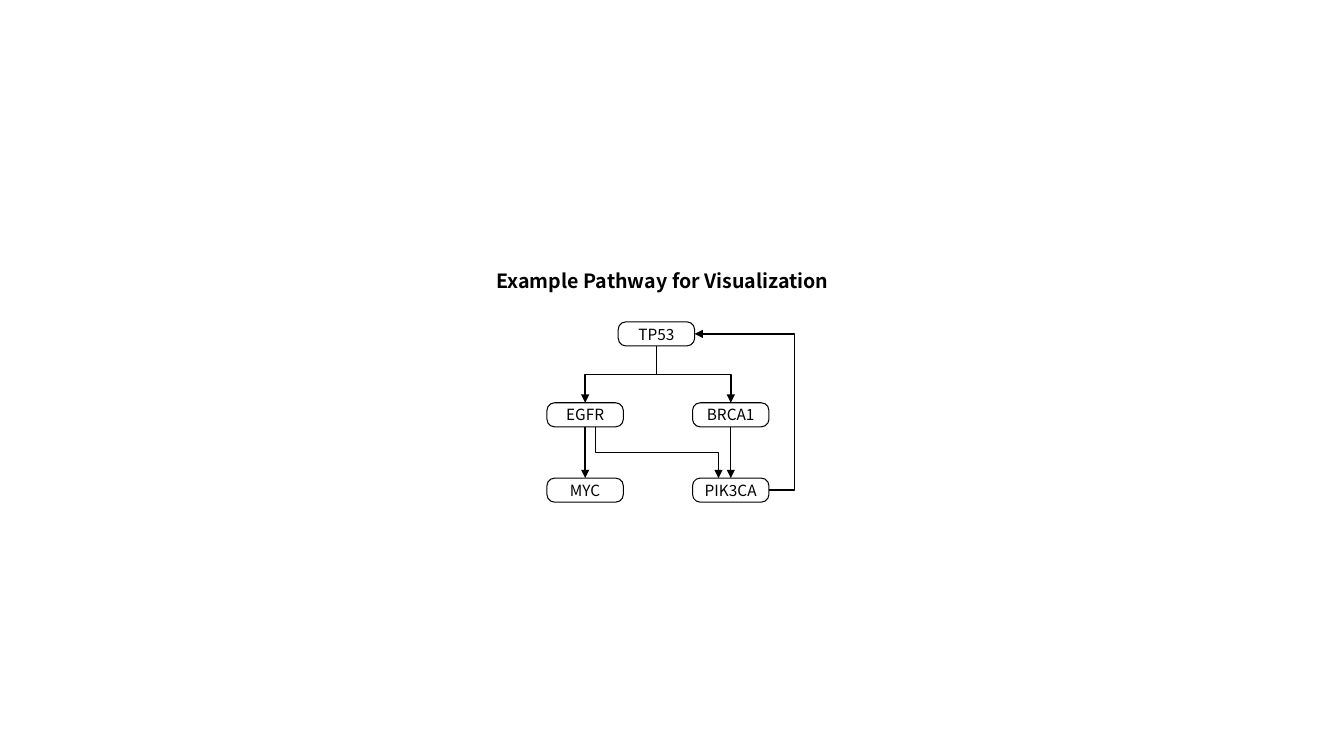
from lxml.etree import SubElement
from pptx import Presentation
from pptx.dml.color import RGBColor
from pptx.enum.shapes import MSO_CONNECTOR as Connector, MSO_SHAPE as Shape
from pptx.enum.text import MSO_ANCHOR as Anchor, PP_ALIGN as Align
from pptx.oxml.ns import qn
from pptx.util import Pt

COLORS = {"ink": "000000"}
FONT = "Noto Sans CJK JP"
NODE_WIDTH, NODE_HEIGHT = 54.6, 17.2
# Gene: (centre, top) within the pathway
GENES = {
    "TP53": (78, 0),
    "EGFR": (27.1, 57.8),
    "BRCA1": (131.1, 57.8),
    "MYC": (27.1, 111.6),
    "PIK3CA": (131.1, 111.6),
}
# Source, target, and sideways shifts of the two ends
DOWNWARD_LINKS = [
    ("EGFR", "MYC", 0, 0),
    ("BRCA1", "PIK3CA", 0, 0),
    ("TP53", "EGFR", 0, 0),
    ("TP53", "BRCA1", 0, 0),
    ("EGFR", "PIK3CA", 7.3, -8.8),
]
FEEDBACK_REACH = 18.1


def ink():
    return RGBColor.from_string(COLORS["ink"])


def add_text(frame, text, size, bold, margins):
    frame.margin_left = frame.margin_right = Pt(margins[0])
    frame.margin_top = frame.margin_bottom = Pt(margins[1])
    paragraph = frame.paragraphs[0]
    paragraph.alignment = Align.CENTER
    run = paragraph.add_run()
    run.text = text
    run.font.name, run.font.size, run.font.bold = FONT, Pt(size), bold
    run.font.color.rgb = ink()


def add_title(slide, left, top, width, height):
    frame = slide.shapes.add_textbox(Pt(left), Pt(top), Pt(width), Pt(height)).text_frame
    frame.word_wrap = False
    add_text(frame, "Example Pathway for Visualization", 14, True, (2, 3))


def add_gene(slide, name, left, top):
    shape = slide.shapes.add_shape(
        Shape.ROUNDED_RECTANGLE, Pt(left), Pt(top), Pt(NODE_WIDTH), Pt(NODE_HEIGHT))
    shape.adjustments[0] = 0.32
    shape.shadow.inherit = False
    shape.fill.background()
    shape.line.color.rgb = ink()
    shape.line.width = Pt(0.75)
    shape.text_frame.vertical_anchor = Anchor.MIDDLE
    add_text(shape.text_frame, name, 11, False, (3, 0))


def add_arrow(slide, kind, start, end):
    connector = slide.shapes.add_connector(kind, *(Pt(value) for value in (*start, *end)))
    connector.line.color.rgb = ink()
    connector.line.width = Pt(1)
    properties = connector.element.spPr
    SubElement(properties.find(qn("a:ln")), qn("a:tailEnd"), type="triangle")
    SubElement(properties, qn("a:effectLst"))
    return properties


def add_downward_arrow(slide, start, end):
    """Draw a straight arrow, or an elbow that leaves and arrives vertically."""
    (x1, y1), (x2, y2) = start, end
    if x1 == x2:
        add_arrow(slide, Connector.STRAIGHT, start, end)
        return
    # The elbow runs horizontally first, so lay it flat and turn it a quarter.
    middle_x, middle_y = (x1 + x2) / 2, (y1 + y2) / 2
    half_width, half_height = (y2 - y1) / 2, abs(x2 - x1) / 2
    side, turn = (1, 270) if x2 > x1 else (-1, 90)
    properties = add_arrow(
        slide, Connector.ELBOW,
        (middle_x + side * half_width, middle_y - half_height),
        (middle_x - side * half_width, middle_y + half_height))
    properties.find(qn("a:xfrm")).set("rot", str(turn * 60000))


def add_feedback_arrow(slide, start, end):
    """Draw an elbow that loops out to the right of its start."""
    properties = add_arrow(slide, Connector.ELBOW, start, end)
    bend = round(-FEEDBACK_REACH / (start[0] - end[0]) * 100000)
    guides = properties.find(qn("a:prstGeom")).find(qn("a:avLst"))
    SubElement(guides, qn("a:gd"), name="adj1", fmla=f"val {bend}")


def add_pathway(slide, left, top):
    places = {name: (left + x, top + y) for name, (x, y) in GENES.items()}
    for name, (center, node_top) in places.items():
        add_gene(slide, name, center - NODE_WIDTH / 2, node_top)
    for source, target, start_shift, end_shift in DOWNWARD_LINKS:
        (x1, y1), (x2, y2) = places[source], places[target]
        add_downward_arrow(
            slide, (x1 + start_shift, y1 + NODE_HEIGHT), (x2 + end_shift, y2))
    right_middles = [
        (places[name][0] + NODE_WIDTH / 2, places[name][1] + NODE_HEIGHT / 2)
        for name in ("PIK3CA", "TP53")]
    add_feedback_arrow(slide, *right_middles)


def main():
    presentation = Presentation()
    presentation.slide_width, presentation.slide_height = Pt(960), Pt(540)
    slide = presentation.slides.add_slide(presentation.slide_layouts[6])
    add_title(slide, 348.8, 189, 249, 23)
    add_pathway(slide, 390.9, 229.9)
    presentation.save("out.pptx")


if __name__ == "__main__":
    main()
